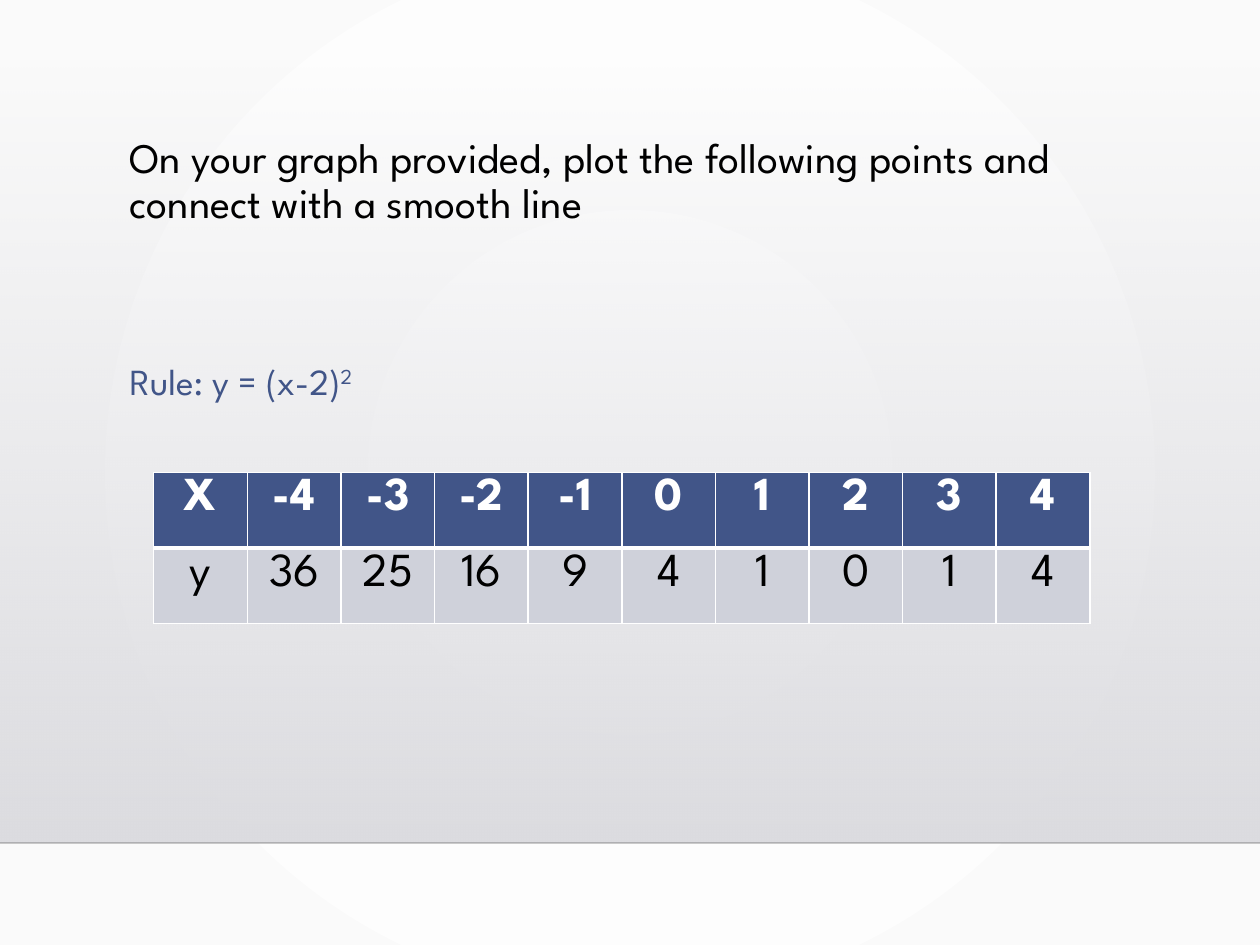
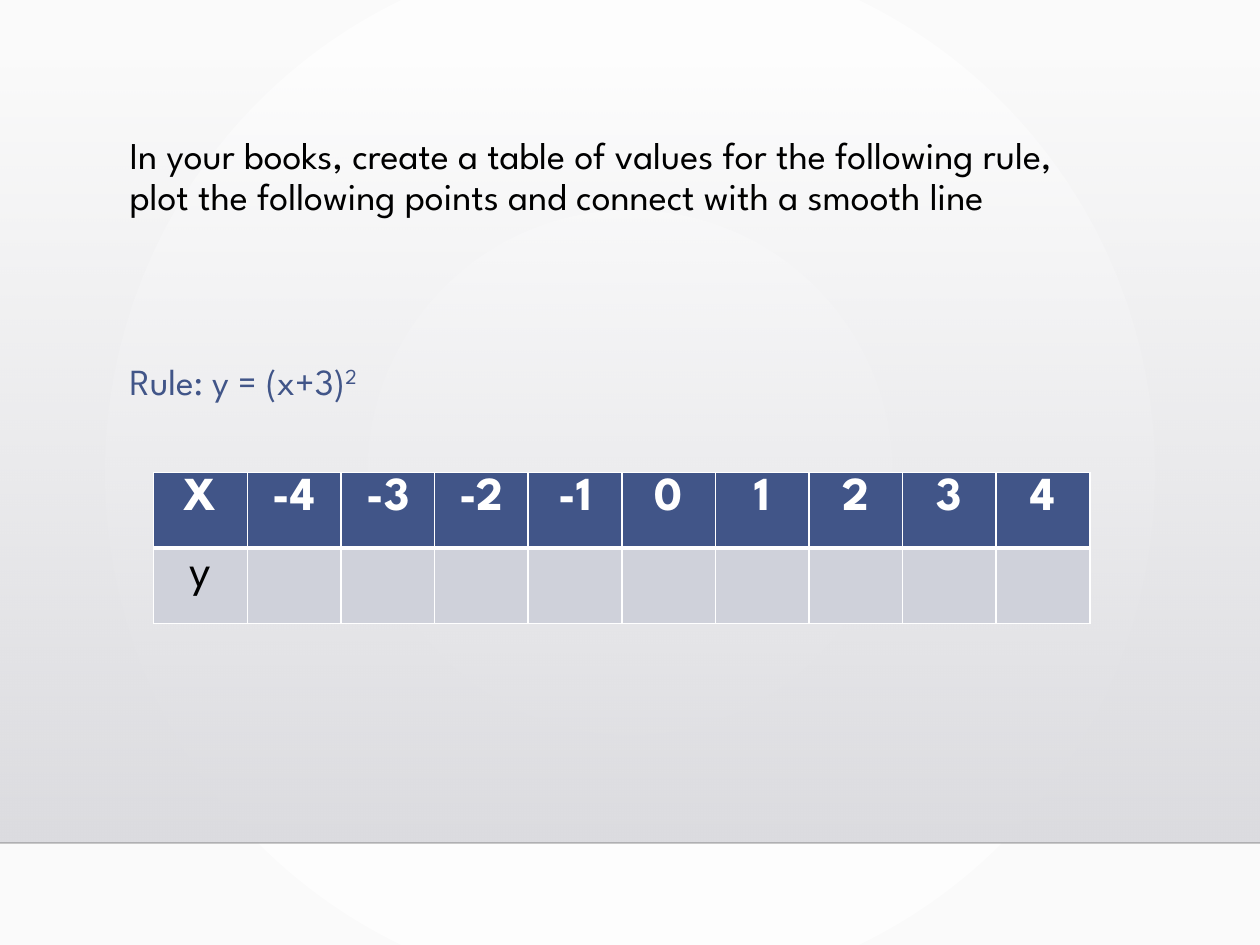
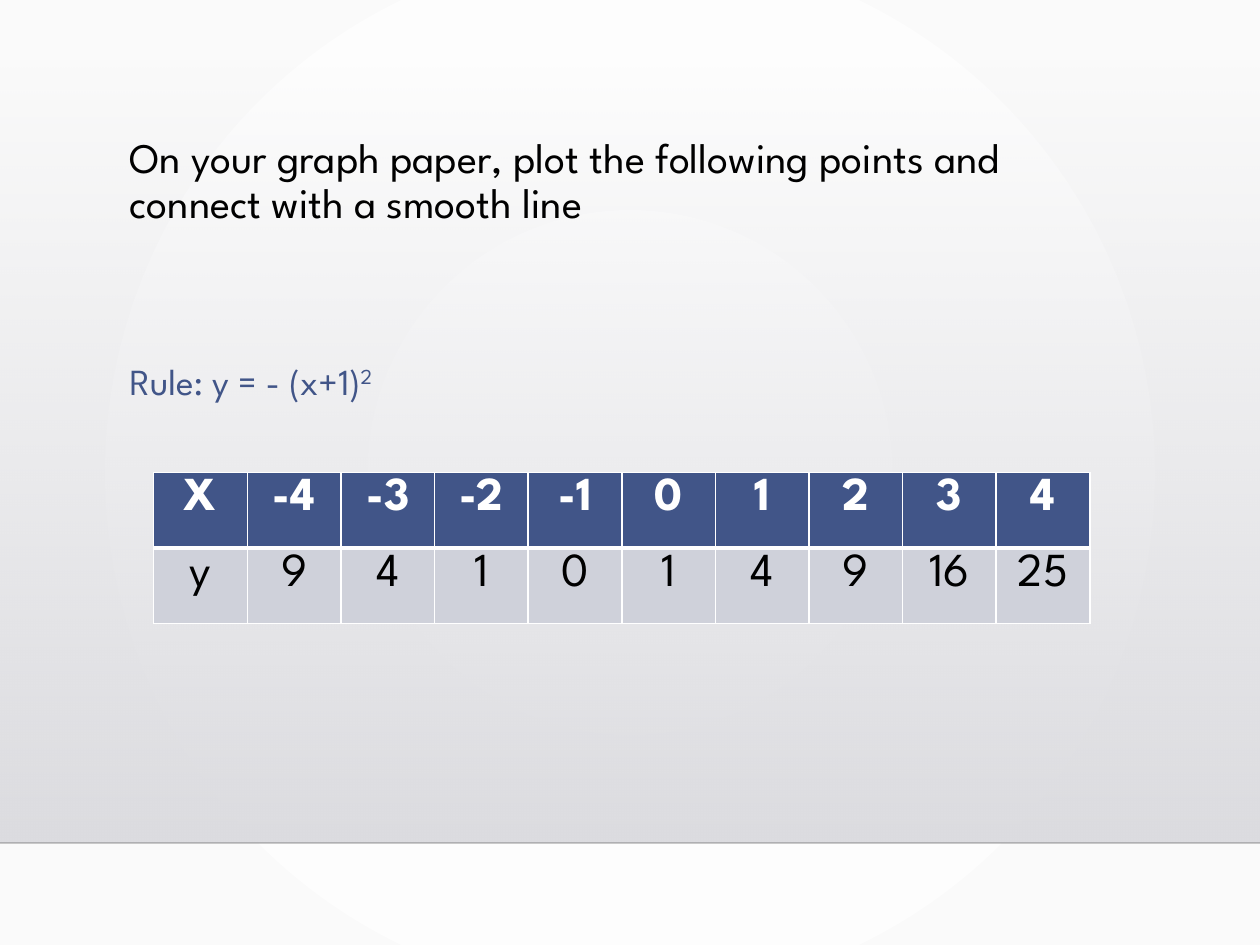
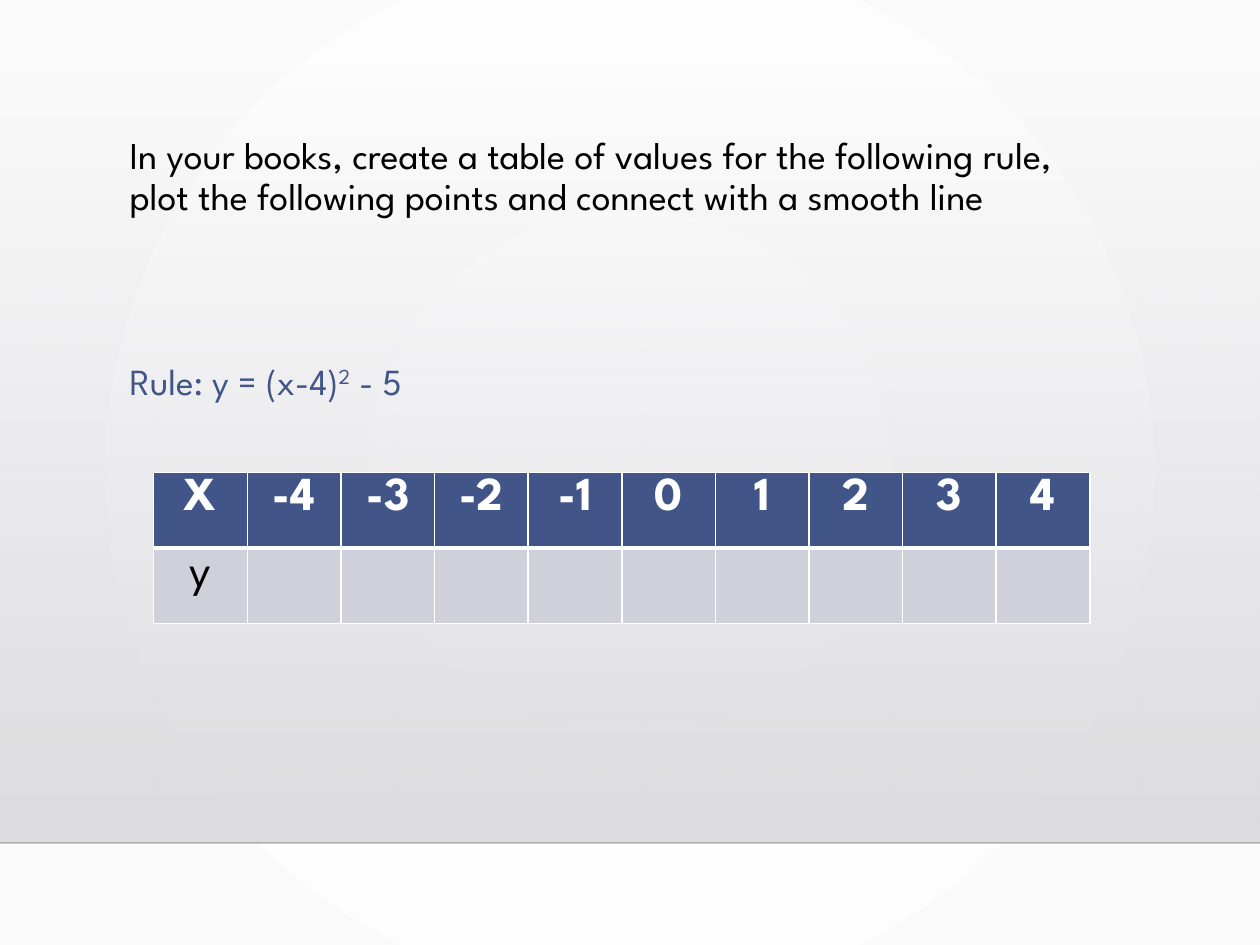
"""Build four exercise slides on plotting parabolas from tables of values."""
from lxml import etree
from pptx import Presentation
from pptx.dml.color import RGBColor
from pptx.enum.shapes import MSO_CONNECTOR, MSO_SHAPE
from pptx.enum.text import MSO_ANCHOR, PP_ALIGN
from pptx.oxml import parse_xml
from pptx.oxml.ns import nsdecls, qn
from pptx.util import Inches, Pt

RECT, STRAIGHT = MSO_SHAPE.RECTANGLE, MSO_CONNECTOR.STRAIGHT
CENTER, BOTTOM = PP_ALIGN.CENTER, MSO_ANCHOR.BOTTOM

PLOT = "plot the following points and connect with a smooth line"
BOOKS = f"In your books, create a table of values for the following rule, {PLOT}"
X_VALUES = ["X", "-4", "-3", "-2", "-1", "0", "1", "2", "3", "4"]
BLANKS = [""] * 9
SLIDES = [
    dict(title=f"On your graph provided, {PLOT}", size=24,
         rule=("Rule: y = (x-2)", "2"),
         y=["36", "25", "16", "9", "4", "1", "0", "1", "4"]),
    dict(title=BOOKS, size=21.6, rule=("Rule: y = (x+3)", "2"), y=BLANKS),
    dict(title=f"On your graph paper, {PLOT}", size=24,
         rule=("Rule: y = - (x+1)", "2"),
         y=["9", "4", "1", "0", "1", "4", "9", "16", "25"]),
    dict(title=BOOKS, size=21.6, rule=("Rule: y = (x-4)", "2", " - 5"), y=BLANKS),
]

FONT = "League Spartan"
COLORS = dict(text="000000", accent="415588", white="FFFFFF", cell="CFD1DA",
              paper="FAFAFA", band_top="DCDCE0", band_end="DEDEE2", rule="000001")
WIDTH, HEIGHT = 10, 7.5
BAND_TOP, BAND_END = 0.51, 6.69
LEFT = 0.93
TABLE_LEFT, TABLE_TOP, TABLE_WIDTH, ROW = 1.22, 3.75, 7.43, 0.6
CIRCLE = ('<a:path {} path="circle"><a:fillToRect l="50000" t="50000" '
          'r="50000" b="50000"/></a:path>')
DOWN = '<a:lin {} ang="5400000" scaled="0"/>'


def rgb(name):
    return RGBColor.from_string(COLORS[name])


def set_gradient(fill, root, start, end, direction, start_alpha=100):
    fill.gradient()
    grad = root.find(".//" + qn("a:gradFill"))
    for child in list(grad):
        grad.remove(child)
    stops = etree.SubElement(grad, qn("a:gsLst"))
    for pos, name, alpha in ((0, start, start_alpha), (100, end, 100)):
        gs = etree.SubElement(stops, qn("a:gs"), pos=str(pos * 1000))
        clr = etree.SubElement(gs, qn("a:srgbClr"), val=COLORS[name])
        if alpha < 100:
            etree.SubElement(clr, qn("a:alpha"), val=str(alpha * 1000))
    grad.append(parse_xml(direction.format(nsdecls("a"))))


def style(r, size, color, bold=False):
    r.font.name, r.font.size, r.font.bold = FONT, Pt(size), bold
    r.font.color.rgb = rgb(color)


def add_band(s):
    sp = s.shapes.add_shape(RECT, 0, Inches(BAND_TOP), Inches(WIDTH),
                            Inches(BAND_END - BAND_TOP))
    sp.shadow.inherit = False
    sp.line.fill.background()
    set_gradient(sp.fill, sp.element.spPr, "band_top", "band_end", DOWN, 0)
    line = s.shapes.add_connector(STRAIGHT, 0, Inches(BAND_END),
                                  Inches(WIDTH), Inches(BAND_END))
    line.line.width = Pt(1)
    line.line.color.rgb = rgb("rule")
    clr = line.element.spPr.find(".//" + qn("a:srgbClr"))
    etree.SubElement(clr, qn("a:alpha"), val="20000")
    etree.SubElement(line.element.spPr, qn("a:effectLst"))


def add_text(s, top, width, height, parts, size, color):
    tf = s.shapes.add_textbox(*map(Inches, (LEFT, top, width, height))).text_frame
    tf.word_wrap = True
    for part in parts:
        r = tf.paragraphs[0].add_run()
        r.text = part
        style(r, size, color)
    return tf


def add_borders(cell, widths):
    tc_pr = cell._tc.get_or_add_tcPr()
    for side, width in zip("LRTB", widths):
        ln = etree.SubElement(tc_pr, qn("a:ln" + side), w=str(Pt(width)))
        fill = etree.SubElement(ln, qn("a:solidFill"))
        etree.SubElement(fill, qn("a:srgbClr"), val=COLORS["white"])


def add_values(s, y_values):
    rows = [(X_VALUES, "accent", "white", True, (1, 1, 1, 3)),
            (["y"] + y_values, "cell", "text", False, (1, 1, 3, 1))]
    table = s.shapes.add_table(len(rows), len(X_VALUES), *map(
        Inches, (TABLE_LEFT, TABLE_TOP, TABLE_WIDTH, ROW * len(rows)))).table
    table.horz_banding = False
    for i, (values, fill, color, bold, widths) in enumerate(rows):
        for j, value in enumerate(values):
            cell = table.cell(i, j)
            cell.margin_left = cell.margin_right = Inches(0.07)
            cell.margin_top = cell.margin_bottom = Inches(0.04)
            add_borders(cell, widths)
            cell.fill.solid()
            cell.fill.fore_color.rgb = rgb(fill)
            p = cell.text_frame.paragraphs[0]
            p.text = value
            p.alignment = CENTER
            for r in p.runs:
                style(r, 27, color, bold)


def main():
    prs = Presentation()
    prs.slide_width, prs.slide_height = Inches(WIDTH), Inches(HEIGHT)
    blank = prs.slide_layouts[6]
    set_gradient(blank.background.fill, blank.element, "white", "paper", CIRCLE)
    for content in SLIDES:
        s = prs.slides.add_slide(blank)
        add_band(s)
        title = add_text(s, 1.04, 7.88, 1.16, [content["title"]],
                         content["size"], "text")
        title.paragraphs[0].line_spacing = 0.9
        rule = add_text(s, 2.37, 3.81, 0.88, content["rule"], 21, "accent")
        rule.vertical_anchor = BOTTOM
        rule.paragraphs[0].runs[1].font._element.set("baseline", "30000")
        add_values(s, content["y"])
    prs.save("out.pptx")


if __name__ == "__main__":
    main()
